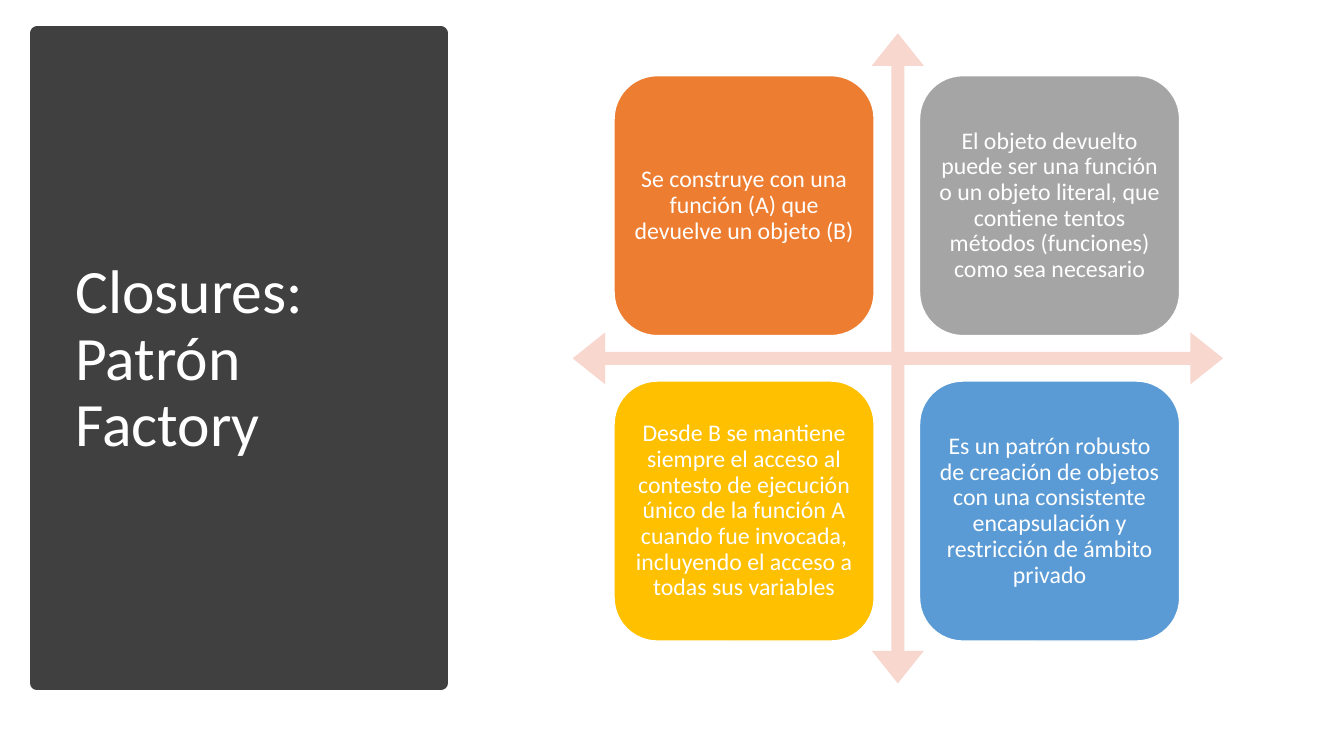
import pptx
import pptx.util
import pptx.dml.color
import pptx.enum.shapes
import pptx.enum.text

Inches = pptx.util.Inches
Pt = pptx.util.Pt
RGBColor = pptx.dml.color.RGBColor
MSO_SHAPE = pptx.enum.shapes.MSO_SHAPE
PP_ALIGN = pptx.enum.text.PP_ALIGN
MSO_ANCHOR = pptx.enum.text.MSO_ANCHOR

WHITE = RGBColor(0xFF, 0xFF, 0xFF)
CHARCOAL = RGBColor(0x40, 0x40, 0x40)
PALE_PINK = RGBColor(0xF8, 0xD7, 0xCE)
ORANGE = RGBColor(0xED, 0x7D, 0x31)
GRAY = RGBColor(0xA5, 0xA5, 0xA5)
GOLD = RGBColor(0xFF, 0xC0, 0x00)
BLUE = RGBColor(0x5B, 0x9B, 0xD5)

QUADRANTS = [
    (ORANGE, "Se construye con una función (A) que devuelve un objeto (B)"),
    (GRAY, "El objeto devuelto puede ser una función o un objeto literal, "
           "que contiene tentos métodos (funciones) como sea necesario"),
    (GOLD, "Desde B se mantiene siempre el acceso al contesto de ejecución "
           "único de la función A cuando fue invocada, incluyendo el acceso "
           "a todas sus variables"),
    (BLUE, "Es un patrón robusto de creación de objetos con una consistente "
           "encapsulación y restricción de ámbito privado"),
]
LEFT, TOP, SIDE, STEP = 6.09, 0.75, 2.58, 3.03


class SlideBuilder:
    font = "Calibri"

    def __init__(self, slide):
        self.shapes = slide.shapes

    def shape(self, kind, box, fill, line=None, line_width=0, adjustments=()):
        sp = self.shapes.add_shape(kind, *map(Inches, box))
        sp.shadow.inherit = False
        sp.fill.solid()
        sp.fill.fore_color.rgb = fill
        if line is None:
            sp.line.fill.background()
        else:
            sp.line.color.rgb = line
            sp.line.width = Pt(line_width)
        for i, value in enumerate(adjustments):
            sp.adjustments[i] = value
        return sp

    def set_text(self, sp, text, size, align, inset):
        """Fill a shape or text box with one white, vertically centred paragraph."""
        tf = sp.text_frame
        frame_format = {"word_wrap": True, "vertical_anchor": MSO_ANCHOR.MIDDLE}
        frame_format.update({f"margin_{side}": Inches(inset)
                             for side in ("left", "top", "right", "bottom")})
        p = tf.paragraphs[0]
        r = p.add_run()
        r.text = text
        r.font.color.rgb = WHITE
        for target, values in (
            (tf, frame_format),
            (p, {"alignment": align, "line_spacing": 0.9}),
            (r.font, {"name": self.font, "size": Pt(size)}),
        ):
            for name, value in values.items():
                setattr(target, name, value)

    def title(self, box, text):
        sp = self.shapes.add_textbox(*map(Inches, box))
        self.set_text(sp, text, 44, PP_ALIGN.LEFT, 0.1)

    def card(self, box, fill, text):
        sp = self.shape(MSO_SHAPE.ROUNDED_RECTANGLE, box, fill, WHITE, 1)
        self.set_text(sp, text, 17, PP_ALIGN.CENTER, 0.07)


def main():
    prs = pptx.Presentation()
    prs.slide_width, prs.slide_height = Inches(13.33), Inches(7.5)
    s = SlideBuilder(prs.slides.add_slide(prs.slide_layouts[6]))

    s.shape(MSO_SHAPE.RECTANGLE, (0.37, 0.33, 4, 6.45), CHARCOAL, CHARCOAL, 10)
    s.title((0.65, 0.7, 3.46, 5.75), "Closures: Patrón Factory")
    s.shape(MSO_SHAPE.QUAD_ARROW, (5.68, 0.33, 6.45, 6.45), PALE_PINK,
            adjustments=(0.02, 0.04, 0.05))
    for i, (fill, text) in enumerate(QUADRANTS):
        row, col = divmod(i, 2)
        s.card((LEFT + col * STEP, TOP + row * STEP, SIDE, SIDE), fill, text)

    prs.save("out.pptx")


if __name__ == "__main__":
    main()
